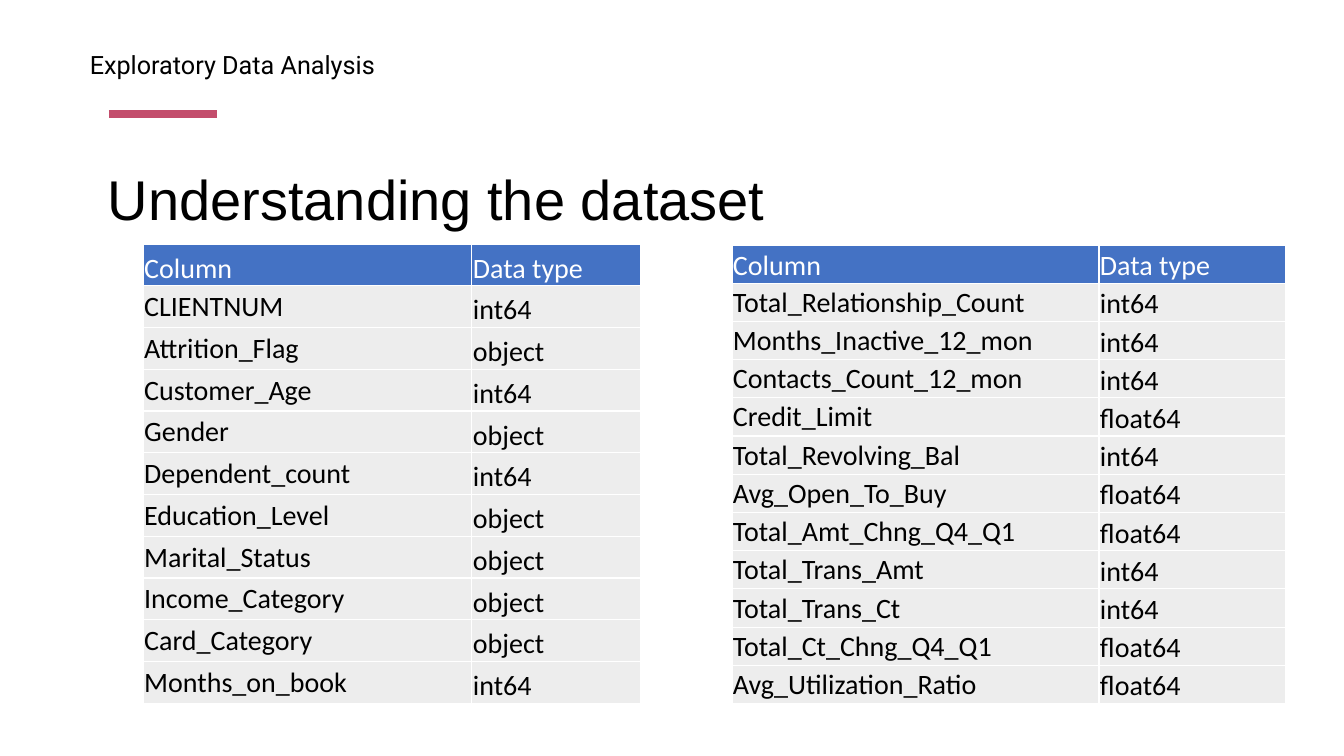
from pptx import Presentation
from pptx import util as u
from pptx.dml.color import RGBColor
from pptx.enum import shapes, text
from pptx.oxml.ns import qn
from lxml import etree

BLACK = RGBColor(0x00, 0x00, 0x00)
WHITE = RGBColor(0xFF, 0xFF, 0xFF)
ROSE = RGBColor(0xC3, 0x4D, 0x6C)
HEADER_BLUE = RGBColor(0x44, 0x72, 0xC4)
BODY_GREY = RGBColor(0xED, 0xED, 0xED)

CLIENT_COLUMNS = [
    ("CLIENTNUM", "int64"),
    ("Attrition_Flag", "object"),
    ("Customer_Age", "int64"),
    ("Gender", "object"),
    ("Dependent_count", "int64"),
    ("Education_Level", "object"),
    ("Marital_Status", "object"),
    ("Income_Category", "object"),
    ("Card_Category", "object"),
    ("Months_on_book", "int64"),
]
ACTIVITY_COLUMNS = [
    ("Total_Relationship_Count", "int64"),
    ("Months_Inactive_12_mon", "int64"),
    ("Contacts_Count_12_mon", "int64"),
    ("Credit_Limit", "float64"),
    ("Total_Revolving_Bal", "int64"),
    ("Avg_Open_To_Buy", "float64"),
    ("Total_Amt_Chng_Q4_Q1", "float64"),
    ("Total_Trans_Amt", "int64"),
    ("Total_Trans_Ct", "int64"),
    ("Total_Ct_Chng_Q4_Q1", "float64"),
    ("Avg_Utilization_Ratio", "float64"),
]


class DatasetSlide:
    heading_font = "Arial"
    label_font = "Roboto"
    table_font = "Calibri"
    cell_margins = {"margin_left": 0.01, "margin_right": 0.01,
                    "margin_top": 0.01, "margin_bottom": 0}

    def __init__(self, presentation):
        self.slide = presentation.slides.add_slide(presentation.slide_layouts[6])

    def set_words(self, paragraph, words, font, size, color):
        paragraph.text = words
        for name, value in {"name": font, "size": u.Pt(size)}.items():
            setattr(paragraph.font, name, value)
        paragraph.font.color.rgb = color

    def set_margins(self, target, margins):
        for name, value in margins.items():
            setattr(target, name, u.Inches(value))

    def textbox(self, box, words, font, size, align, margins):
        shape = self.slide.shapes.add_textbox(*map(u.Inches, box))
        frame = shape.text_frame
        frame.word_wrap = True
        self.set_margins(frame, margins)
        paragraph = frame.paragraphs[0]
        self.set_words(paragraph, words, font, size, BLACK)
        paragraph.alignment = align

    def rule(self, left, right, y):
        connector = self.slide.shapes.add_connector(
            shapes.MSO_CONNECTOR.STRAIGHT, *map(u.Inches, (left, y, right, y)))
        connector.line.color.rgb = ROSE
        connector.line.width = u.Pt(6)
        properties = connector._element.find(qn("p:spPr"))
        etree.SubElement(properties, qn("a:effectLst"))

    def table(self, left, top, widths, height, records):
        rows = [("Column", "Data type"), *records]
        box = (left, top, sum(widths), height)
        table = self.slide.shapes.add_table(
            len(rows), len(widths), *map(u.Inches, box)).table
        for column, width in zip(table.columns, widths):
            column.width = u.Inches(width)
        for r, row in enumerate(rows):
            table.rows[r].height = u.Inches(height / len(rows))
            for c, words in enumerate(row):
                self.cell(table.cell(r, c), words, r == 0, c == 0)

    def cell(self, cell, words, is_header, is_name):
        cell.fill.solid()
        cell.fill.fore_color.rgb = HEADER_BLUE if is_header else BODY_GREY
        self.set_margins(cell, self.cell_margins)
        middle = is_name and not is_header
        cell.vertical_anchor = (text.MSO_ANCHOR.MIDDLE if middle
                                else text.MSO_ANCHOR.BOTTOM)
        self.set_words(cell.text_frame.paragraphs[0], words, self.table_font, 20,
                       WHITE if is_header else BLACK)


def main():
    presentation = Presentation()
    presentation.slide_width = u.Inches(13.33)
    presentation.slide_height = u.Inches(7.5)
    page = DatasetSlide(presentation)
    page.rule(1.08, 2.15, 1.13)
    page.textbox((1, 1.5, 11.33, 1.44), "Understanding the dataset",
                 page.heading_font, 40, text.PP_ALIGN.LEFT,
                 {"margin_left": 0.07, "margin_top": 0.13})
    page.table(1.42, 2.42, (3.26, 1.67), 4.56, CLIENT_COLUMNS)
    page.table(7.26, 2.43, (3.64, 1.85), 4.55, ACTIVITY_COLUMNS)
    page.textbox((0.44, 0.44, 3.73, 0.4), "Exploratory Data Analysis",
                 page.label_font, 18, text.PP_ALIGN.CENTER, {})
    presentation.save("out.pptx")


if __name__ == "__main__":
    main()
